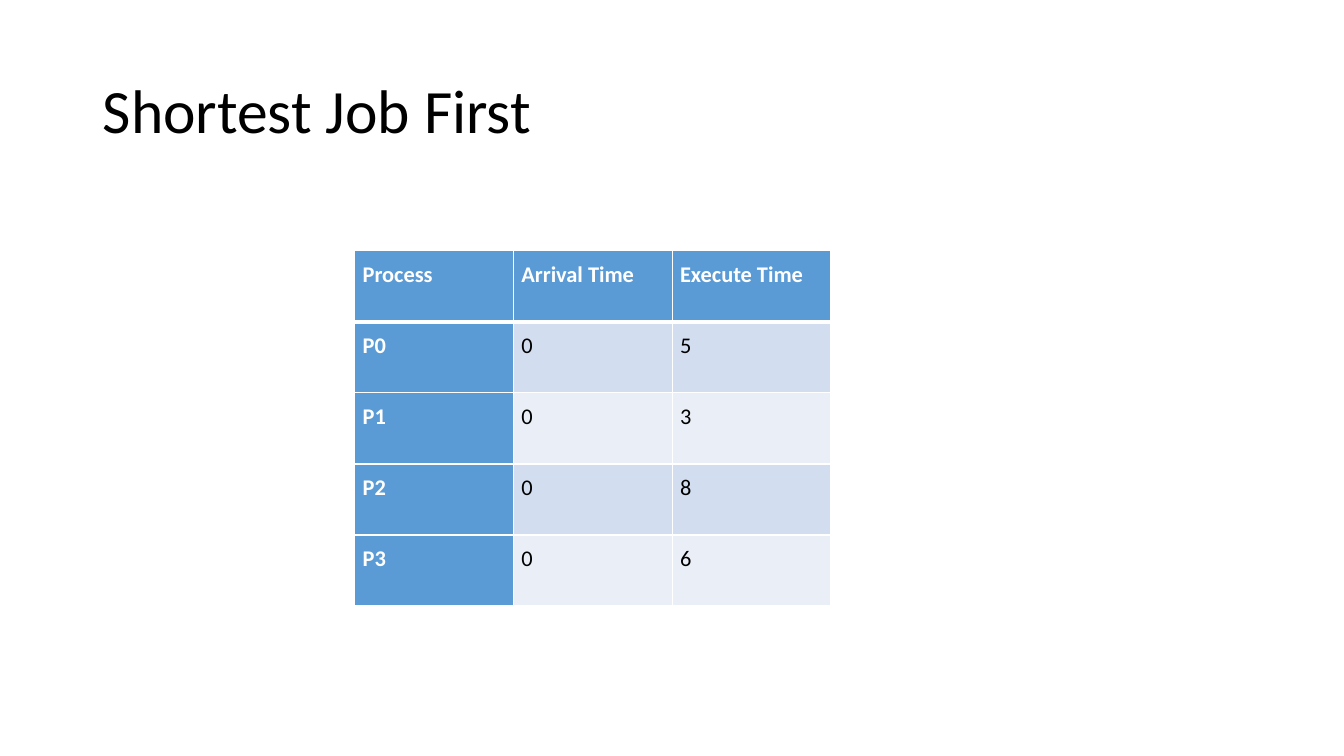
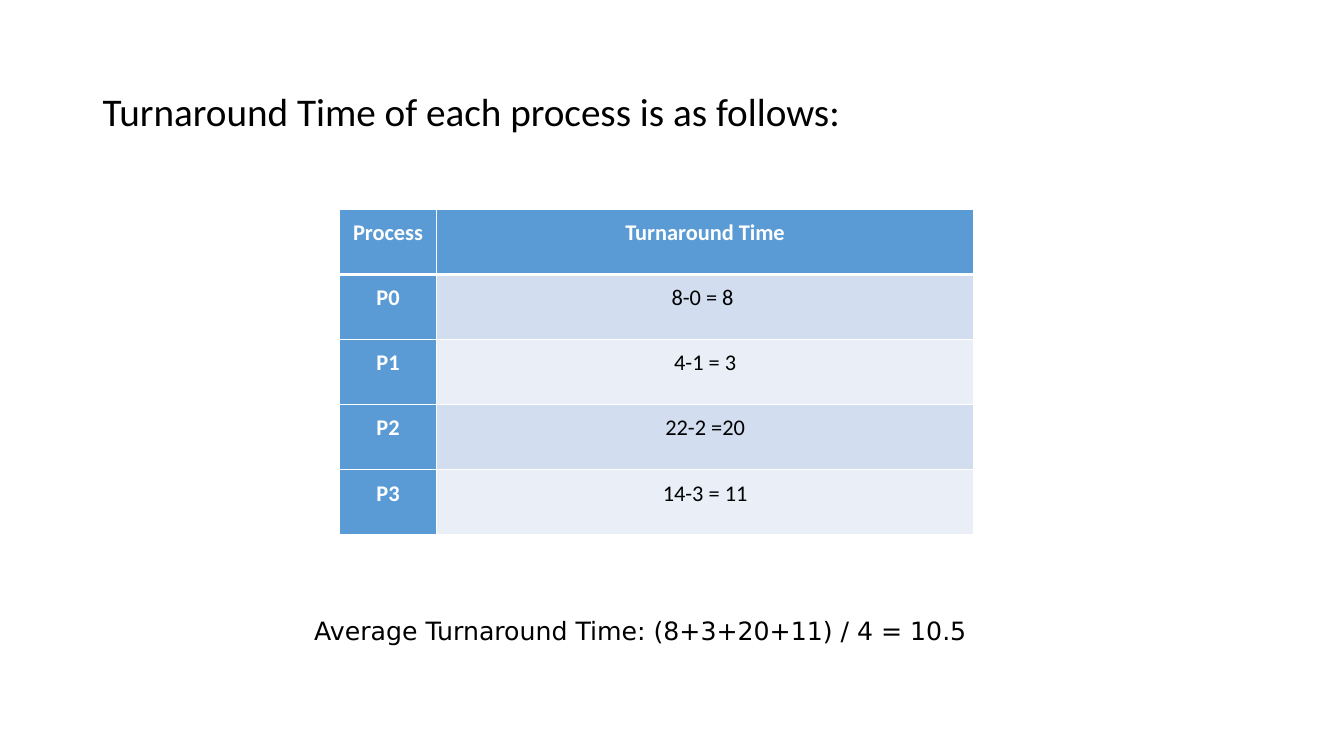
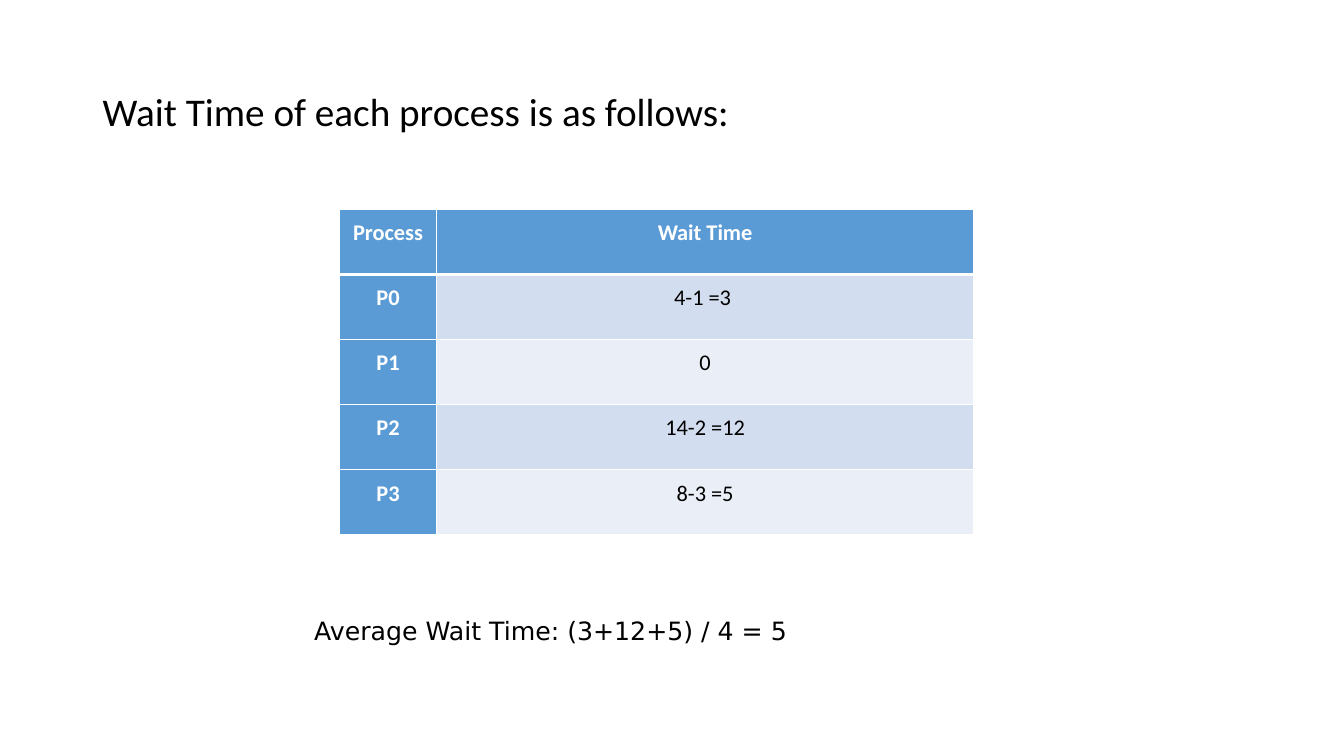
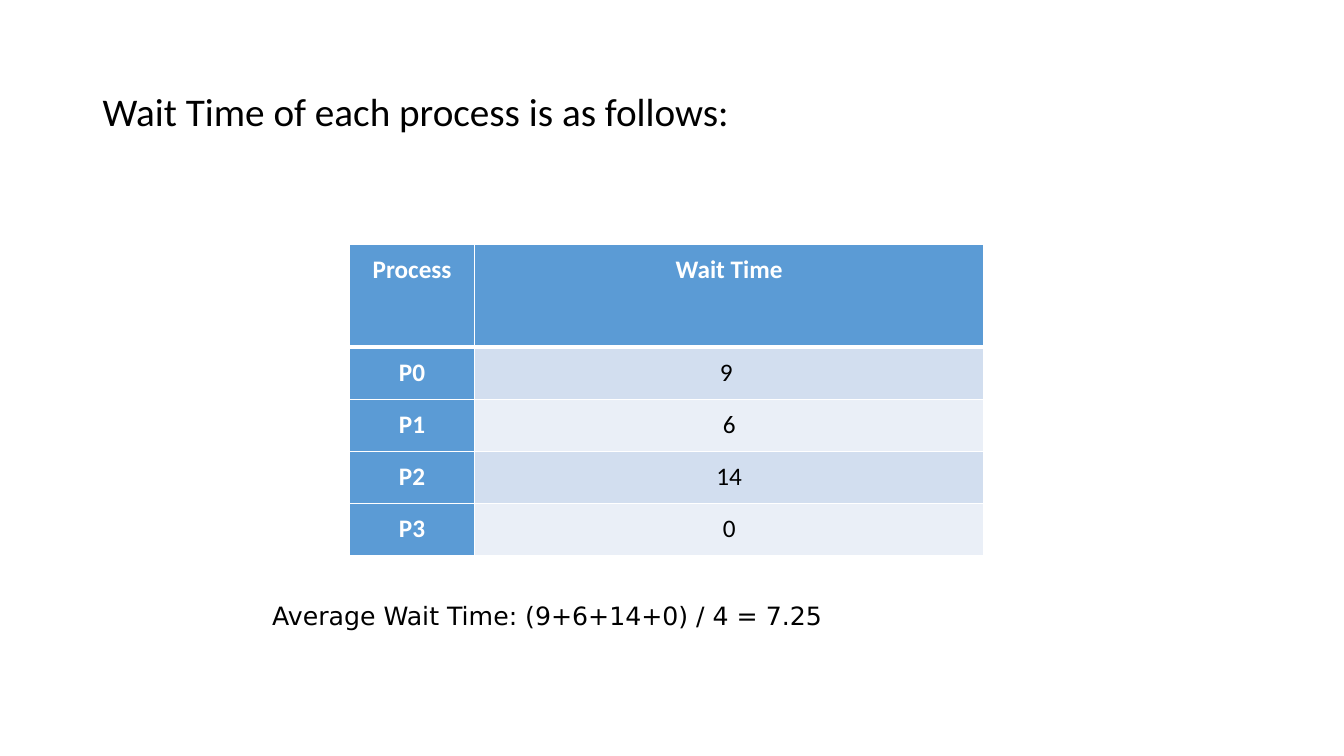
from lxml.etree import SubElement
from pptx import Presentation
from pptx.dml.color import RGBColor
from pptx.enum.text import MSO_ANCHOR, MSO_AUTO_SIZE, PP_ALIGN
from pptx.oxml.ns import qn
from pptx.util import Cm, Pt

BLACK = RGBColor(0x00, 0x00, 0x00)
WHITE = RGBColor(0xFF, 0xFF, 0xFF)
BLUE = RGBColor(0x5B, 0x9B, 0xD5)
BANDS = (RGBColor(0xD2, 0xDE, 0xEF), RGBColor(0xEA, 0xEF, 0xF7))
BODY_FONT = "Calibri"
AVERAGE_FONT = "DejaVu Sans"
CELL_MARGIN = Cm(0.2)

# Content: lengths in centimetres, text sizes in points
RESULT_GRID = dict(at=(8.56, 5.28), columns=(2.44, 13.54), rows=(1.64,) * 5,
                   size=16, align=PP_ALIGN.CENTER)
SLIDES = [
    dict(
        title="Shortest Job First", title_size=44,
        grid=dict(at=(8.94, 6.32), columns=(4, 4, 4), rows=(1.79,) * 5,
                  size=16, align=PP_ALIGN.LEFT),
        cells=[("Process", "Arrival Time", "Execute Time"),
               ("P0", "0", "5"), ("P1", "0", "3"),
               ("P2", "0", "8"), ("P3", "0", "6")],
    ),
    dict(
        title="Turnaround Time of each process is as follows:", title_size=28,
        grid=RESULT_GRID,
        cells=[("Process", "Turnaround Time"),
               ("P0", "8-0 = 8 "), ("P1", "4-1 = 3"),
               ("P2", "22-2 =20"), ("P3", "14-3 = 11")],
        average=dict(text="Average Turnaround Time: (8+3+20+11) / 4 = 10.5",
                     box=(7.67, 15.37, 17.96, 1.02)),
    ),
    dict(
        title="Wait Time of each process is as follows:", title_size=28,
        grid=RESULT_GRID,
        cells=[("Process", "Wait Time"),
               ("P0", "4-1 =3 "), ("P1", "0"),
               ("P2", "14-2 =12"), ("P3", "8-3 =5")],
        average=dict(text="Average Wait Time: (3+12+5) / 4 = 5",
                     box=(7.67, 15.37, 12.9, 1.02)),
    ),
    dict(
        title="Wait Time of each process is as follows:", title_size=28,
        grid=dict(at=(8.81, 6.15), columns=(3.15, 12.83),
                  rows=(2.6,) + (1.31,) * 4, size=18, align=PP_ALIGN.CENTER),
        cells=[("Process", "Wait Time"),
               ("P0", "9 "), ("P1", "6"), ("P2", "14"), ("P3", "0")],
        average=dict(text="Average Wait Time: (9+6+14+0) / 4 = 7.25",
                     box=(6.53, 15.14, 15.06, 0.89),
                     align=PP_ALIGN.JUSTIFY, spacing=Pt(18), after=Pt(7.2),
                     indent=Cm(0.08)),
    ),
]


def add_run(paragraph, text, size, font=BODY_FONT, color=BLACK, bold=False):
    run = paragraph.add_run()
    run.text = text
    run.font.name = font
    run.font.size = Pt(size)
    run.font.bold = bold
    run.font.color.rgb = color


def add_title(slide, text, size):
    frame = slide.shapes.add_textbox(Cm(2.34), Cm(1.02), Cm(29.21), Cm(3.68)).text_frame
    frame.word_wrap = True
    frame.vertical_anchor = MSO_ANCHOR.MIDDLE
    frame.paragraphs[0].line_spacing = 0.9
    add_run(frame.paragraphs[0], text, size)


def add_borders(cell, top, bottom):
    for side, width in (("L", 1), ("R", 1), ("T", top), ("B", bottom)):
        line = SubElement(cell._tc.get_or_add_tcPr(), qn(f"a:ln{side}"), w=str(Pt(width)))
        SubElement(SubElement(line, qn("a:solidFill")), qn("a:srgbClr"), val=str(WHITE))


def add_process_table(slide, cells, at, columns, rows, size, align):
    table = slide.shapes.add_table(len(rows), len(columns), Cm(at[0]), Cm(at[1]),
                                   Cm(sum(columns)), Cm(sum(rows))).table
    table.first_col = True
    for column, width in zip(table.columns, columns):
        column.width = Cm(width)
    for r, (height, texts) in enumerate(zip(rows, cells)):
        table.rows[r].height = Cm(height)
        for c, text in enumerate(texts):
            cell = table.cell(r, c)
            heading = r == 0 or c == 0
            # A thick rule separates the header row from the data
            add_borders(cell, top=3 if r == 1 else 1, bottom=3 if r == 0 else 1)
            cell.fill.solid()
            cell.fill.fore_color.rgb = BLUE if heading else BANDS[(r - 1) % 2]
            cell.margin_left = cell.margin_right = CELL_MARGIN
            cell.margin_top = cell.margin_bottom = CELL_MARGIN
            paragraph = cell.text_frame.paragraphs[0]
            paragraph.alignment = align
            paragraph.line_spacing = 1.07
            paragraph.space_after = Pt(15)
            add_run(paragraph, text, size, color=WHITE if heading else BLACK, bold=heading)


def add_average(slide, text, box, align=PP_ALIGN.LEFT, spacing=None, after=None, indent=0):
    frame = slide.shapes.add_textbox(*map(Cm, box)).text_frame
    frame.word_wrap = False
    frame.auto_size = MSO_AUTO_SIZE.SHAPE_TO_FIT_TEXT
    paragraph = frame.paragraphs[0]
    paragraph.alignment = align
    paragraph.line_spacing = spacing
    paragraph.space_after = after
    paragraph._p.get_or_add_pPr().set("marL", str(int(indent)))
    add_run(paragraph, text, 18, AVERAGE_FONT)


def main():
    deck = Presentation()
    deck.slide_width, deck.slide_height = Cm(33.87), Cm(19.05)
    for content in SLIDES:
        slide = deck.slides.add_slide(deck.slide_layouts[6])
        add_title(slide, content["title"], content["title_size"])
        add_process_table(slide, content["cells"], **content["grid"])
        if "average" in content:
            add_average(slide, **content["average"])
    deck.save("out.pptx")


if __name__ == "__main__":
    main()
